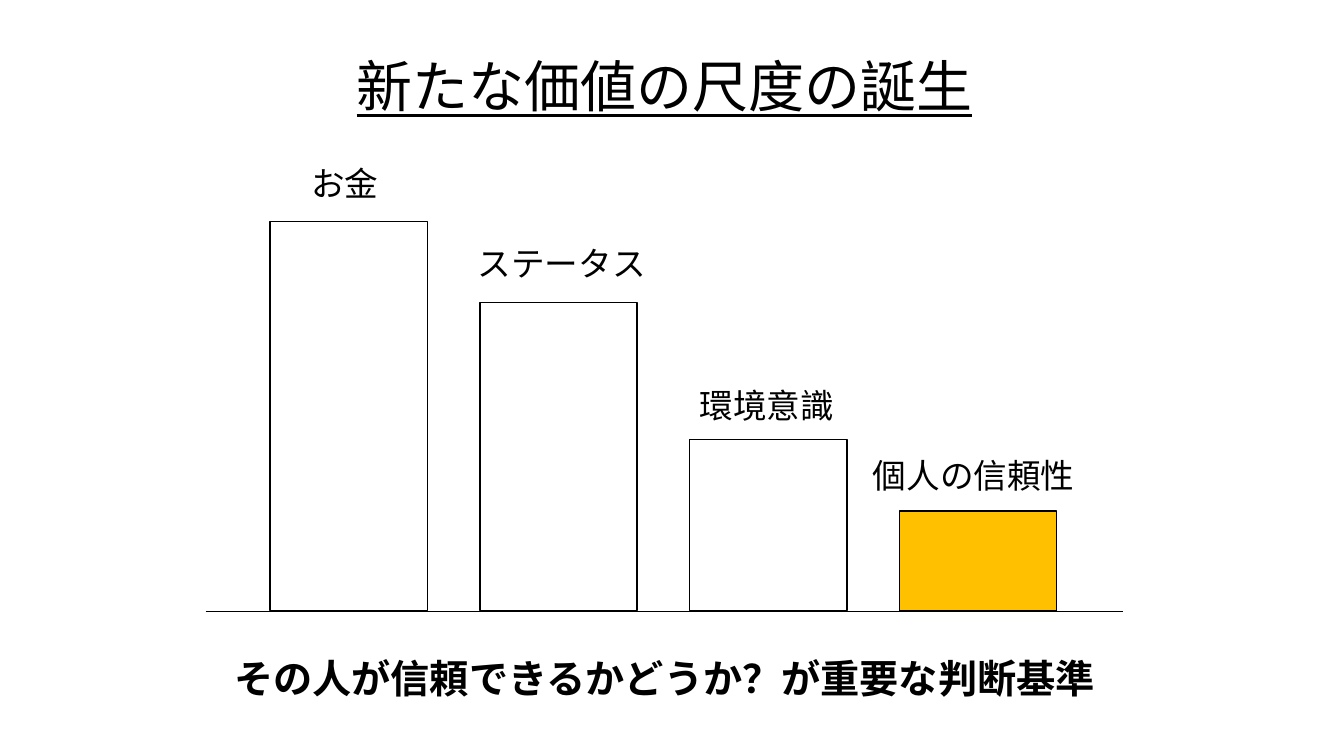
from lxml.etree import SubElement
from pptx import Presentation
from pptx.dml.color import RGBColor
from pptx.enum.shapes import MSO_CONNECTOR as Connector, MSO_SHAPE as Shape
from pptx.enum.text import MSO_ANCHOR as Anchor, MSO_AUTO_SIZE as AutoSize, PP_ALIGN as Align
from pptx.oxml.ns import qn
from pptx.util import Inches, Pt

COLORS = {"ink": "000000", "highlight": "FFC000"}
FONT = "Noto Sans CJK JP"
BAR_LEFT, BAR_PITCH, BAR_WIDTH, BAR_BASE = 2.68, 2.08, 1.56, 6.06
AXIS_LEFT, AXIS_RIGHT, AXIS_Y = 2.04, 11.14, 6.07
LABEL_HEIGHT, CHAR_WIDTH, LABEL_PADDING = 0.5, 0.33, 0.22


def color(name):
    return RGBColor.from_string(COLORS[name])


def add_text(page, text, left, top, width, height, size, align=Align.LEFT):
    box = page.shapes.add_textbox(Inches(left), Inches(top), Inches(width), Inches(height))
    frame = box.text_frame
    frame.text = text
    frame.word_wrap = False
    frame.auto_size = AutoSize.SHAPE_TO_FIT_TEXT
    para = frame.paragraphs[0]
    para.alignment = align
    span = para.runs[0]
    span.font.size = Pt(size)
    span.font.name = FONT
    span.font.color.rgb = color("ink")
    SubElement(span.font._element, qn("a:ea")).set("typeface", FONT)
    return frame


deck = Presentation()
deck.slide_width, deck.slide_height = Inches(13.33), Inches(7.5)
page = deck.slides.add_slide(deck.slide_layouts[6])

title = add_text(page, "新たな価値の尺度の誕生", 0.84, 0.16, 11.5, 1.45, 40, Align.CENTER)
title.word_wrap = True
title.auto_size = AutoSize.NONE
title.vertical_anchor = Anchor.MIDDLE
title.paragraphs[0].line_spacing = 0.9
title.paragraphs[0].runs[0].font.underline = True

values = [
    ("お金", 2.2, 2.99, 1.57, None),
    ("ステータス", 3, 4.64, 2.36, None),
    ("環境意識", 4.36, 6.84, 3.77, None),
    ("個人の信頼性", 5.07, 8.56, 4.46, "highlight"),
]
for column, (label, bar_top, label_left, label_top, fill) in enumerate(values):
    bar = page.shapes.add_shape(
        Shape.RECTANGLE,
        Inches(BAR_LEFT + column * BAR_PITCH),
        Inches(bar_top),
        Inches(BAR_WIDTH),
        Inches(BAR_BASE - bar_top),
    )
    bar.shadow.inherit = False
    bar.line.color.rgb = color("ink")
    bar.line.width = Pt(1)
    if fill:
        bar.fill.solid()
        bar.fill.fore_color.rgb = color(fill)
    else:
        bar.fill.background()
    label_width = len(label) * CHAR_WIDTH + LABEL_PADDING
    add_text(page, label, label_left, label_top, label_width, LABEL_HEIGHT, 24)

axis = page.shapes.add_connector(
    Connector.STRAIGHT, Inches(AXIS_LEFT), Inches(AXIS_Y), Inches(AXIS_RIGHT), Inches(AXIS_Y)
)
axis.line.color.rgb = color("ink")
axis.line.width = Pt(0.5)
SubElement(axis._element.spPr, qn("a:effectLst"))

message = add_text(
    page, "その人が信頼できるかどうか？が重要な判断基準", 2.17, 6.44, 8.84, 0.57, 28, Align.CENTER
)
message.paragraphs[0].runs[0].font.bold = True

deck.save("out.pptx")
